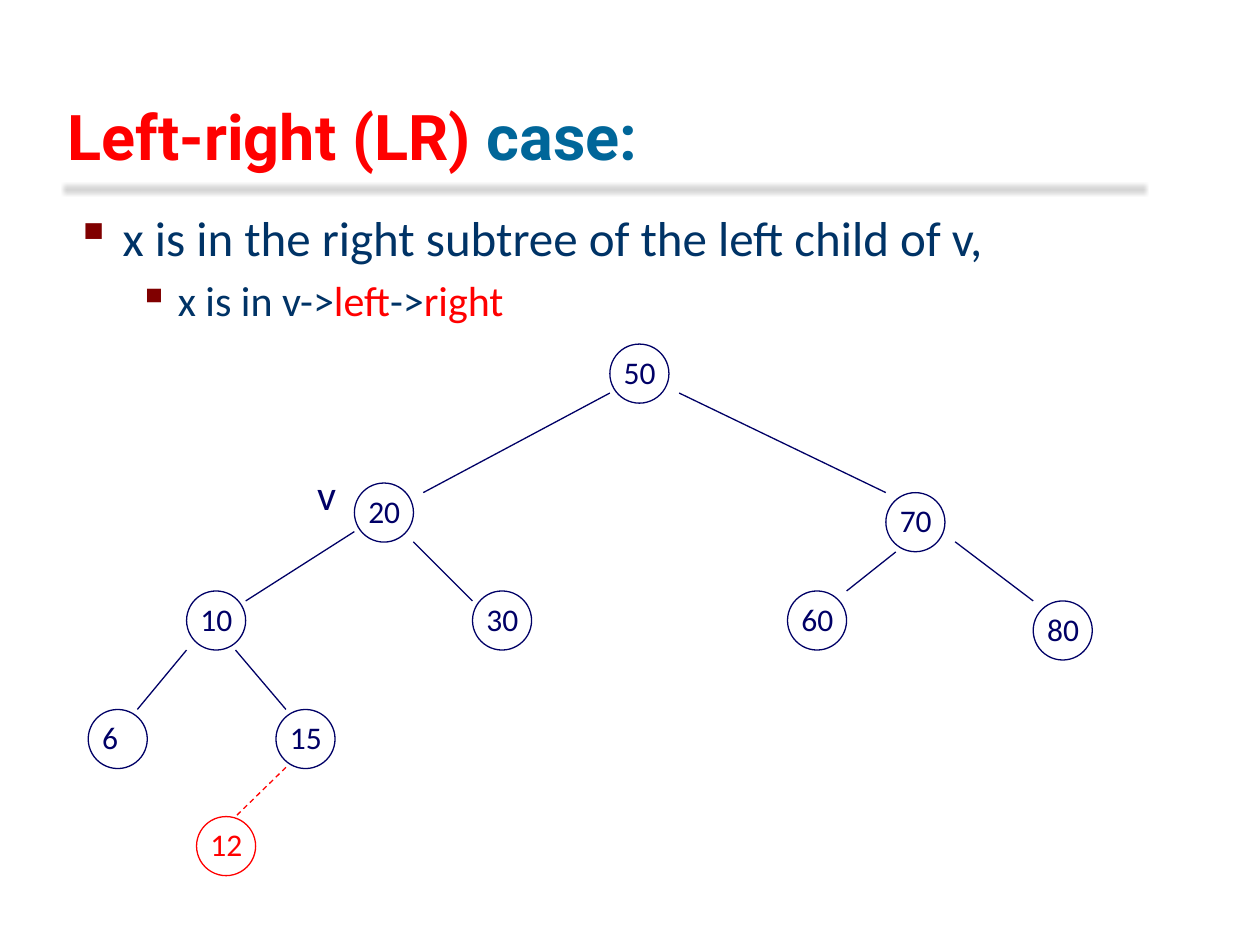
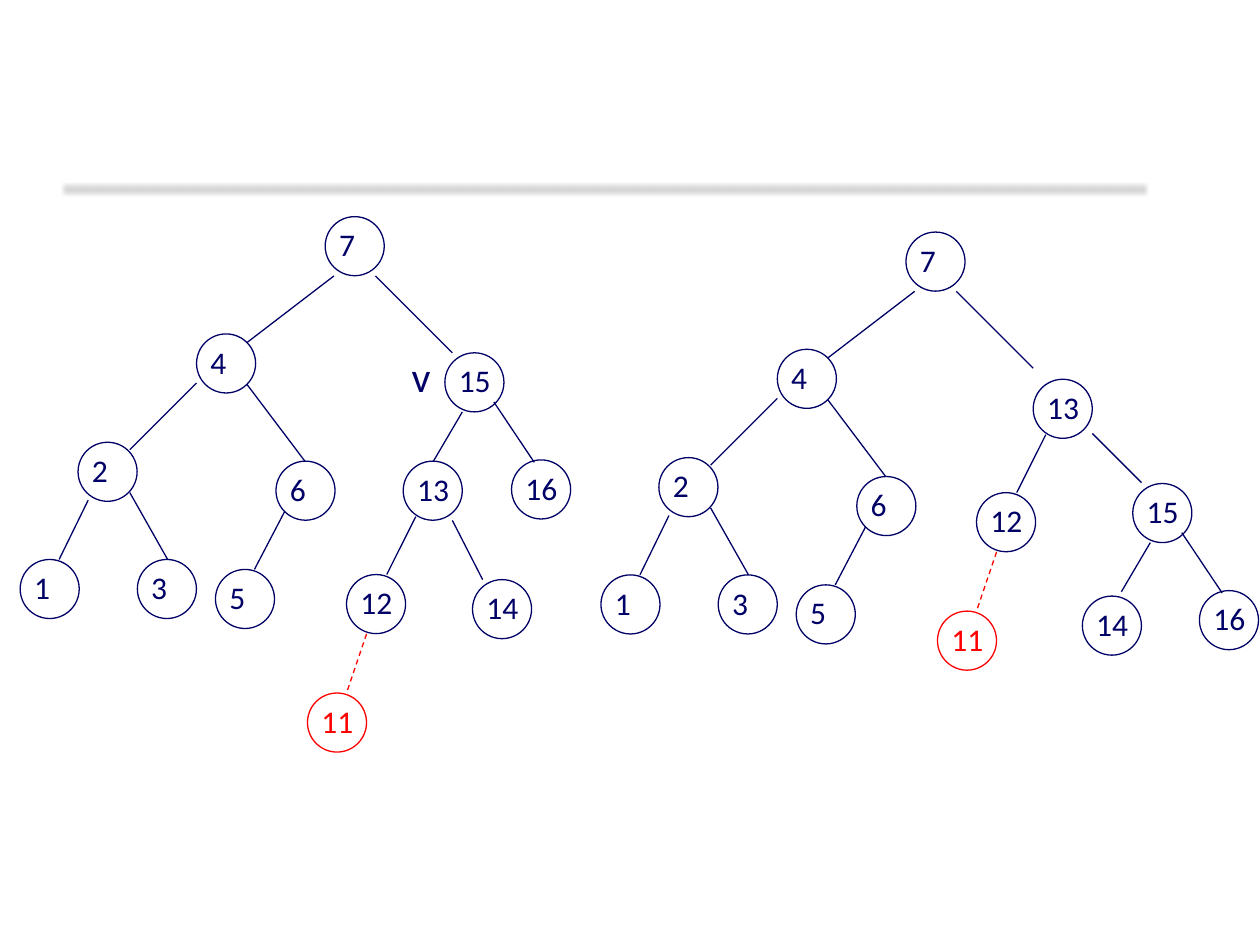
from dataclasses import dataclass
from typing import NamedTuple

from lxml.etree import SubElement
from pptx import Presentation
from pptx.dml.color import RGBColor
from pptx.enum.dml import MSO_LINE
from pptx.enum.shapes import MSO_CONNECTOR, MSO_SHAPE
from pptx.enum.text import MSO_ANCHOR, PP_ALIGN
from pptx.oxml.ns import qn
from pptx.slide import Slide
from pptx.text.text import TextFrame, _Paragraph
from pptx.util import Pt


@dataclass(frozen=True)
class Theme:
    navy: str = "000066"
    body: str = "003366"
    heading: str = "006699"
    accent: str = "FF0000"
    bullet: str = "800000"
    rule: str = "D4D4D4"
    title_font: str = "Roboto"
    text_font: str = "Calibri"
    title_size: float = 36
    body_size: float = 28
    sub_size: float = 24
    key_size: float = 18
    line_width: float = 0.75
    node_diameter: float = 33.75


THEME = Theme()


class Node(NamedTuple):
    key: int
    left: float
    top: float
    added: bool = False


class Edge(NamedTuple):
    x1: float
    y1: float
    x2: float
    y2: float
    added: bool = False


class Subtree(NamedTuple):
    nodes: list[Node]
    edges: list[Edge]


class Piece(NamedTuple):
    text: str
    color: str


class Bullet(NamedTuple):
    pieces: list[Piece]
    size: float
    level: int
    margin: float
    hanging: float
    space_before: float


LR_TREE = Subtree(
    [
        Node(50, 348.5, 196.6),
        Node(20, 202.5, 276),
        Node(70, 506.2, 281.5),
        Node(10, 106.6, 337.7),
        Node(30, 270, 337.7),
        Node(60, 450, 337.7),
        Node(80, 590.4, 343.4),
        Node(6, 50.4, 405.4),
        Node(15, 157.7, 405.4),
        Node(12, 112.3, 466.6, added=True),
    ],
    [
        Edge(348.5, 224.6, 241.9, 281.5),
        Edge(388.1, 224.6, 506.2, 281.5),
        Edge(202.5, 303.8, 140.4, 343.4),
        Edge(236.2, 309.6, 270, 343.4),
        Edge(511.9, 315.4, 483.8, 337.7),
        Edge(545.8, 309.6, 590.4, 343.4),
        Edge(106.6, 371.5, 78.5, 405.4),
        Edge(134.6, 371.5, 163.4, 405.4),
        Edge(163.4, 438.5, 134.6, 466.6, added=True),
    ],
)

ROOT_AND_LEFT = Subtree(
    [
        Node(7, 185.8, 123.8),
        Node(4, 112.3, 190.8),
        Node(2, 44.6, 252.7),
        Node(6, 157.7, 263.5),
        Node(1, 11.5, 319.7),
        Node(3, 78.5, 319.7),
        Node(5, 123.1, 325.4),
    ],
    [
        Edge(190.8, 157.7, 141.1, 195.8),
        Edge(214.6, 157.7, 258.5, 201.6),
        Edge(74.2, 257, 112.3, 218.9),
        Edge(141.1, 219.6, 174.2, 263.5),
        Edge(50.4, 285.8, 33.8, 319.7),
        Edge(74.2, 281.5, 95.8, 319.7),
        Edge(145.4, 325.4, 162.7, 292.3),
    ],
)

FIFTEEN = Subtree(
    [Node(15, 254.2, 201.6), Node(16, 292.3, 262.8)],
    [Edge(282.2, 229.7, 305.3, 264.2), Edge(247.7, 263.5, 264.2, 235.4)],
)

THIRTEEN = Subtree(
    [
        Node(13, 230.4, 263.5),
        Node(12, 198, 328.3),
        Node(11, 175.7, 396, added=True),
    ],
    [
        Edge(221, 328.3, 237.6, 295.2),
        Edge(209.5, 362.2, 198, 396, added=True),
    ],
)

FOURTEEN_BEFORE = Subtree([Node(14, 270, 331.2)], [Edge(258.5, 297.4, 275.8, 331.2)])
FOURTEEN_AFTER = Subtree([Node(14, 618.5, 340.6)], [Edge(624.2, 247.7, 652.3, 275.8)])

BULLETS = [
    Bullet(
        [Piece("x is in the right subtree of the left child of v,", THEME.body)],
        THEME.body_size, 0, 27, 27, 0,
    ),
    Bullet(
        [
            Piece("x is in v->", THEME.body),
            Piece("left", THEME.accent),
            Piece("->", THEME.body),
            Piece("right", THEME.accent),
        ],
        THEME.sub_size, 1, 58.5, 22.5, 4.8,
    ),
]


def rgb(color: str) -> RGBColor:
    return RGBColor.from_string(color)


def add_piece(paragraph: _Paragraph, piece: Piece, size: float,
              font: str = THEME.text_font, bold: bool = False) -> None:
    run = paragraph.add_run()
    run.text = piece.text
    run.font.name = font
    run.font.size = Pt(size)
    run.font.bold = bold
    run.font.color.rgb = rgb(piece.color)


def add_text_area(slide: Slide, left: float, top: float, width: float,
                  height: float, wrap: bool = True) -> TextFrame:
    frame = slide.shapes.add_textbox(Pt(left), Pt(top), Pt(width), Pt(height)).text_frame
    frame.word_wrap = wrap
    return frame


def add_title_rule(slide: Slide) -> None:
    rule = slide.shapes.add_shape(MSO_SHAPE.RECTANGLE, Pt(35.2), Pt(104.3), Pt(621.4), Pt(8))
    rule.fill.solid()
    rule.fill.fore_color.rgb = rgb(THEME.rule)
    rule.line.fill.background()
    rule.shadow.inherit = False
    effects = rule.element.spPr.find(qn("a:effectLst"))
    SubElement(effects, qn("a:softEdge"), rad=str(Pt(2)))


def add_title(slide: Slide, pieces: list[Piece]) -> None:
    frame = add_text_area(slide, 31.7, 12.2, 612, 90)
    frame.vertical_anchor = MSO_ANCHOR.BOTTOM
    for piece in pieces:
        add_piece(frame.paragraphs[0], piece, THEME.title_size, THEME.title_font, bold=True)


def add_bullets(slide: Slide, bullets: list[Bullet]) -> None:
    frame = add_text_area(slide, 36, 115.2, 644.4, 76.3)
    for index, bullet in enumerate(bullets):
        paragraph = frame.add_paragraph() if index else frame.paragraphs[0]
        paragraph.level = bullet.level
        paragraph.space_before = Pt(bullet.space_before)
        properties = paragraph._p.get_or_add_pPr()
        properties.set("marL", str(Pt(bullet.margin)))
        properties.set("indent", str(-Pt(bullet.hanging)))
        marker_color = SubElement(properties, qn("a:buClr"))
        SubElement(marker_color, qn("a:srgbClr"), val=THEME.bullet)
        SubElement(properties, qn("a:buChar"), char="▪")
        for piece in bullet.pieces:
            add_piece(paragraph, piece, bullet.size)


def add_node(slide: Slide, node: Node, dx: float, dy: float) -> None:
    color = THEME.accent if node.added else THEME.navy
    diameter = Pt(THEME.node_diameter)
    circle = slide.shapes.add_shape(
        MSO_SHAPE.OVAL, Pt(node.left + dx), Pt(node.top + dy), diameter, diameter)
    circle.shadow.inherit = False
    circle.fill.background()
    circle.line.color.rgb = rgb(color)
    circle.line.width = Pt(THEME.line_width)
    frame = circle.text_frame
    frame.word_wrap = False
    frame.vertical_anchor = MSO_ANCHOR.TOP
    frame.margin_left = Pt(3)
    frame.margin_top = frame.margin_right = frame.margin_bottom = Pt(0)
    frame.paragraphs[0].alignment = PP_ALIGN.LEFT
    add_piece(frame.paragraphs[0], Piece(str(node.key), color), THEME.key_size)


def add_edge(slide: Slide, edge: Edge, dx: float, dy: float) -> None:
    branch = slide.shapes.add_connector(
        MSO_CONNECTOR.STRAIGHT,
        Pt(edge.x1 + dx), Pt(edge.y1 + dy), Pt(edge.x2 + dx), Pt(edge.y2 + dy))
    branch.line.color.rgb = rgb(THEME.accent if edge.added else THEME.navy)
    branch.line.width = Pt(THEME.line_width)
    if edge.added:
        branch.line.dash_style = MSO_LINE.DASH
    SubElement(branch.element.spPr, qn("a:effectLst"))


def add_subtree(slide: Slide, subtree: Subtree, dx: float = 0, dy: float = 0) -> None:
    for node in subtree.nodes:
        add_node(slide, node, dx, dy)
    for edge in subtree.edges:
        add_edge(slide, edge, dx, dy)


def add_v_label(slide: Slide, left: float, top: float) -> None:
    frame = add_text_area(slide, left, top, 25.2, 36, wrap=False)
    add_piece(frame.paragraphs[0], Piece("v", THEME.navy), THEME.sub_size)


def add_base_slide(deck: Presentation) -> Slide:
    slide = deck.slides.add_slide(deck.slide_layouts[6])
    add_title_rule(slide)
    return slide


def build_case_slide(deck: Presentation) -> None:
    slide = add_base_slide(deck)
    add_title(slide, [Piece("Left-right (LR)", THEME.accent), Piece(" case:", THEME.heading)])
    add_bullets(slide, BULLETS)
    add_subtree(slide, LR_TREE)
    add_v_label(slide, 174.2, 264.2)


def build_rotation_slide(deck: Presentation) -> None:
    slide = add_base_slide(deck)
    for subtree in (ROOT_AND_LEFT, FIFTEEN, THIRTEEN, FOURTEEN_BEFORE):
        add_subtree(slide, subtree)
    add_v_label(slide, 228.2, 196.6)
    add_subtree(slide, ROOT_AND_LEFT, 331.9, 8.8)
    add_subtree(slide, FIFTEEN, 393.1, 74.7)
    add_subtree(slide, THIRTEEN, 360, -46.8)
    add_subtree(slide, FOURTEEN_AFTER)


def main() -> None:
    deck = Presentation()
    deck.slide_width, deck.slide_height = Pt(720), Pt(540)
    build_case_slide(deck)
    build_rotation_slide(deck)
    deck.save("out.pptx")


if __name__ == "__main__":
    main()
